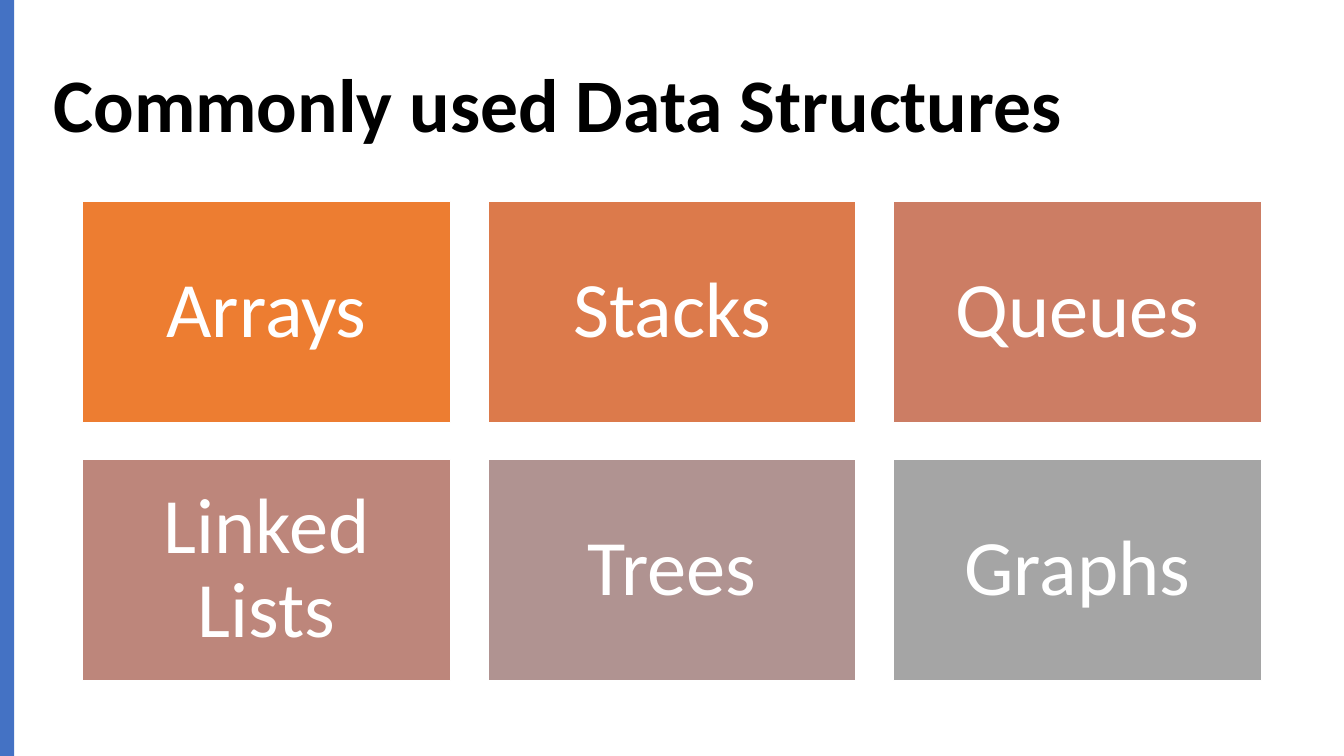
from pptx import Presentation
from pptx.dml.color import RGBColor
from pptx.enum.shapes import MSO_SHAPE
from pptx.enum.text import MSO_ANCHOR, MSO_AUTO_SIZE, PP_ALIGN
from pptx.util import Inches, Pt

RECTANGLE = MSO_SHAPE.RECTANGLE
MIDDLE = MSO_ANCHOR.MIDDLE
NO_AUTOFIT = MSO_AUTO_SIZE.NONE
LEFT, CENTER = PP_ALIGN.LEFT, PP_ALIGN.CENTER

TITLE = "Commonly used Data Structures"
STRUCTURES = [
    ("Arrays", "ED7D31"),
    ("Stacks", "DC7A4B"),
    ("Queues", "CC7D64"),
    ("Linked Lists", "BD867B"),
    ("Trees", "B09391"),
    ("Graphs", "A5A5A5"),
]

THEME = {
    "font": "Calibri",
    "title_color": "000000",
    "title_size": 54,
    "tile_text": "FFFFFF",
    "tile_size": 56,
    "tile_line": "FFFFFF",
    "side_bar": "4472C4",
}

SLIDE_WIDTH, SLIDE_HEIGHT = 13.33, 7.5
TITLE_BOX = (0.43, 0.35, 12.48, 1.45)
SIDE_BAR_BOX = (0, 0, 0.14, SLIDE_HEIGHT)
COLUMNS = 3
GRID_LEFT, GRID_TOP = 0.82, 2
TILE_WIDTH, TILE_HEIGHT = 3.65, 2.19
GAP = 0.37
TILE_MARGIN = 0.23


def set_attributes(target, values):
    for name, value in values.items():
        setattr(target, name, value)


def write_text(shape, text, alignment, size, color, bold=False, margin=None):
    frame = shape.text_frame
    frame.text = text
    set_attributes(frame, {"word_wrap": True, "auto_size": NO_AUTOFIT, "vertical_anchor": MIDDLE})
    if margin is not None:
        sides = ("left", "top", "right", "bottom")
        set_attributes(frame, {f"margin_{side}": Inches(margin) for side in sides})
    paragraph = frame.paragraphs[0]
    set_attributes(paragraph, {"alignment": alignment, "line_spacing": 0.9})
    font = paragraph.runs[0].font
    set_attributes(font, {"name": THEME["font"], "size": Pt(size), "bold": bold})
    font.color.rgb = RGBColor.from_string(color)


def add_rectangle(slide, box, fill, line=None):
    shape = slide.shapes.add_shape(RECTANGLE, *map(Inches, box))
    shape.shadow.inherit = False
    shape.fill.solid()
    shape.fill.fore_color.rgb = RGBColor.from_string(fill)
    if line:
        shape.line.color.rgb = RGBColor.from_string(line)
        shape.line.width = Pt(1)
    else:
        shape.line.fill.background()
    return shape


presentation = Presentation()
presentation.slide_width = Inches(SLIDE_WIDTH)
presentation.slide_height = Inches(SLIDE_HEIGHT)
slide = presentation.slides.add_slide(presentation.slide_layouts.get_by_name("Title Only"))

title = slide.shapes.title
set_attributes(title, dict(zip(("left", "top", "width", "height"), map(Inches, TITLE_BOX))))
write_text(title, TITLE, LEFT, THEME["title_size"], THEME["title_color"], bold=True)

add_rectangle(slide, SIDE_BAR_BOX, THEME["side_bar"])

for index, (name, fill) in enumerate(STRUCTURES):
    row, column = divmod(index, COLUMNS)
    left = GRID_LEFT + column * (TILE_WIDTH + GAP)
    top = GRID_TOP + row * (TILE_HEIGHT + GAP)
    tile = add_rectangle(slide, (left, top, TILE_WIDTH, TILE_HEIGHT), fill, THEME["tile_line"])
    write_text(tile, name, CENTER, THEME["tile_size"], THEME["tile_text"], margin=TILE_MARGIN)

presentation.save("out.pptx")
